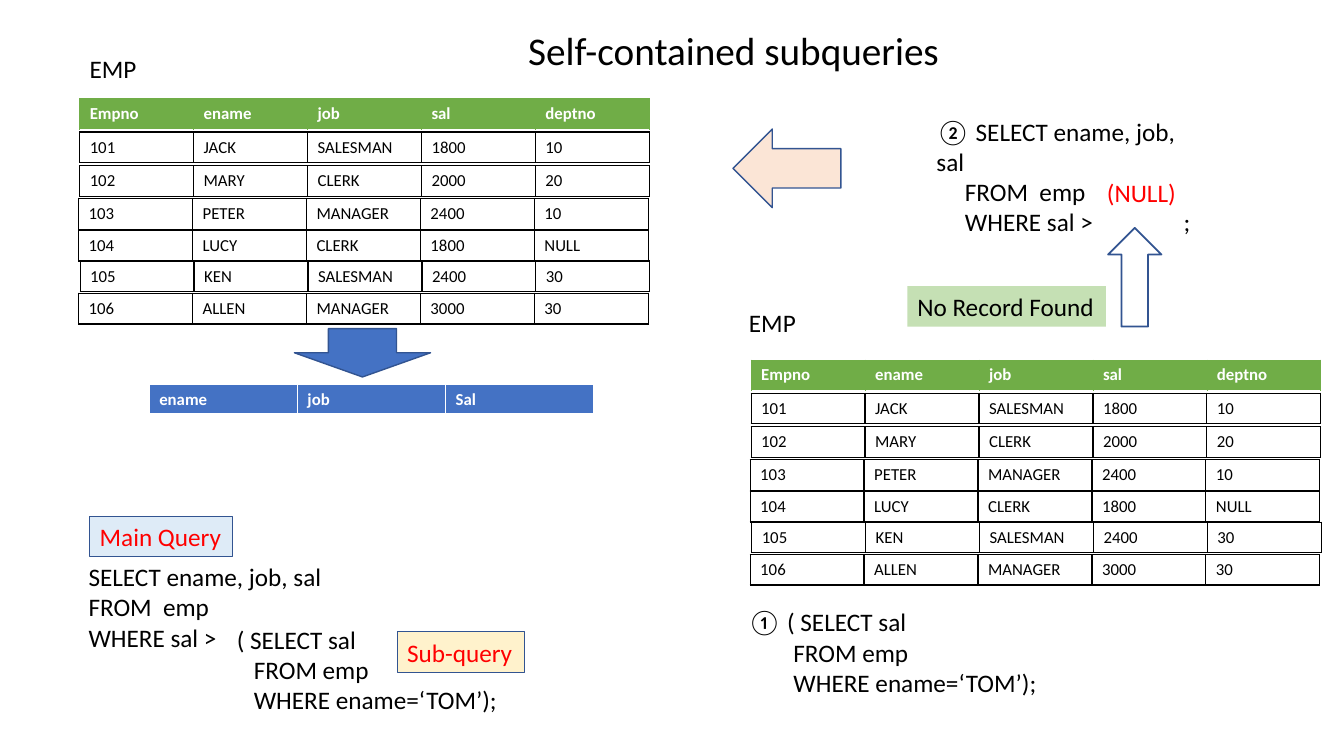
"""Build the slide that explains self-contained subqueries."""
import dataclasses
import typing

import lxml.etree
import pptx
import pptx.dml.color
import pptx.enum.shapes
import pptx.enum.text
import pptx.oxml.ns
import pptx.util

CELL = 0.1
COLUMN_COUNT = 133.3
ROW_COUNT = 75
EMP_COLUMN_WIDTH = 11.3
RESULT_COLUMN_WIDTH = 14.7
STRIP_HEIGHT = 3
SHAPES = pptx.enum.shapes.MSO_SHAPE


@dataclasses.dataclass(frozen=True)
class Theme:
    font: str = "Calibri"
    title_size: float = 28
    body_size: float = 18
    table_size: float = 12
    black: str = "000000"
    white: str = "FFFFFF"
    red: str = "FF0000"
    green: str = "70AD47"
    blue: str = "4472C4"
    outline: str = "325491"
    peach: str = "FBE5D6"
    pale_blue: str = "DEEBF7"
    pale_yellow: str = "FFF2CC"
    pale_green: str = "C5E0B4"


THEME = Theme()


class Border(typing.NamedTuple):
    color: str
    width: float


class Area(typing.NamedTuple):
    column: float
    row: float
    columns: float
    rows: float


@dataclasses.dataclass(frozen=True)
class StripStyle:
    text_color: str
    fill: typing.Optional[str]
    left: Border
    right: Border
    top: Border
    bottom: Border
    bold: bool = False


@dataclasses.dataclass(frozen=True)
class Label:
    area: Area
    text: str
    size: float = THEME.body_size
    color: str = THEME.black
    wrap: bool = False
    tab: float = 0


@dataclasses.dataclass(frozen=True)
class Block:
    kind: SHAPES
    area: Area
    fill: typing.Optional[str] = None
    line_width: float = 0
    label: str = ""
    label_color: str = THEME.red


class EmpRow(typing.NamedTuple):
    column_shift: float
    row_shift: float
    values: str


BLACK_EDGE = Border(THEME.black, 1)
GREEN_EDGE = Border(THEME.green, 0.5)
WHITE_EDGE = Border(THEME.white, 1)
DATA_STYLE = StripStyle(THEME.black, None, BLACK_EDGE, BLACK_EDGE, BLACK_EDGE, BLACK_EDGE)
HEADER_STYLE = StripStyle(THEME.white, THEME.green, GREEN_EDGE, GREEN_EDGE, GREEN_EDGE, WHITE_EDGE, True)
RESULT_STYLE = StripStyle(THEME.white, THEME.blue, WHITE_EDGE, WHITE_EDGE, WHITE_EDGE,
                          Border(THEME.white, 3), True)

EMP_ROWS = (
    EmpRow(0, 3.3, "101 JACK SALESMAN 1800 10"),
    EmpRow(0, 6.65, "102 MARY CLERK 2000 20"),
    EmpRow(-0.1, 9.9, "103 PETER MANAGER 2400 10"),
    EmpRow(-0.1, 13.05, "104 LUCY CLERK 1800 NULL"),
    EmpRow(0.05, 16.1, "105 KEN SALESMAN 2400 30"),
    EmpRow(-0.1, 19.3, "106 ALLEN MANAGER 3000 30"),
)
EMP_ORIGINS = ((7.9, 9.8), (74.5, 35.7))

LABELS = (
    Label(Area(51.4, 2.1, 43.3, 5.7), "Self-contained subqueries", THEME.title_size),
    Label(Area(7.9, 4.8, 6.7, 4), "EMP"),
    Label(Area(73.3, 30, 6.7, 4), "EMP"),
    Label(Area(7.8, 55.2, 25.4, 10.1), "SELECT ename, job, sal\nFROM  emp\nWHERE sal >"),
    Label(Area(22.5, 61.4, 28.1, 10.1), "( SELECT sal\n   FROM emp\n   WHERE ename=‘TOM’);"),
    Label(Area(73.2, 59.7, 31, 10.1),
          "① ( SELECT sal\n        FROM emp\n        WHERE ename=‘TOM’);"),
    Label(Area(91.9, 11, 28, 10.1),
          "② SELECT ename, job, sal\n     FROM  emp\n     WHERE sal >\t;", wrap=True, tab=24.5),
    Label(Area(108.8, 17.1, 8.9, 4), "(NULL)", color=THEME.red),
)

BLOCKS = (
    Block(SHAPES.UP_ARROW, Area(109.9, 22.6, 5.3, 9.8), line_width=1.25),
    Block(SHAPES.LEFT_ARROW, Area(72.7, 12.8, 10.7, 7.8), THEME.peach, 1),
    Block(SHAPES.DOWN_ARROW, Area(29.2, 32.6, 13.5, 4.8), THEME.blue, 1),
    Block(SHAPES.RECTANGLE, Area(8.9, 51.2, 14.2, 4), THEME.pale_blue, 0.75, "Main Query"),
    Block(SHAPES.RECTANGLE, Area(39.4, 62.7, 12.6, 4), THEME.pale_yellow, 0.75, "Sub-query"),
    Block(SHAPES.RECTANGLE, Area(90, 28.4, 19.7, 4), THEME.pale_green, 0, "No Record Found", THEME.black),
)


def grid(cells: float) -> int:
    return pptx.util.Inches(cells * CELL)


def place(area: Area) -> list[int]:
    return [grid(value) for value in area]


def rgb(color: str) -> pptx.dml.color.RGBColor:
    return pptx.dml.color.RGBColor.from_string(color)


def paint(fill, color: typing.Optional[str]) -> None:
    if color is None:
        fill.background()
    else:
        fill.solid()
        fill.fore_color.rgb = rgb(color)


def format_text(text_frame, size: float, color: str, bold: bool = False) -> None:
    for paragraph in text_frame.paragraphs:
        paragraph.alignment = pptx.enum.text.PP_ALIGN.LEFT
        for run in paragraph.runs:
            run.font.name = THEME.font
            run.font.size = pptx.util.Pt(size)
            run.font.bold = bold
            run.font.color.rgb = rgb(color)


def fit_text(text_frame, wrap: bool) -> None:
    text_frame.word_wrap = wrap
    text_frame.auto_size = pptx.enum.text.MSO_AUTO_SIZE.SHAPE_TO_FIT_TEXT


def add_child(parent, tag: str, **attributes: str):
    return lxml.etree.SubElement(parent, pptx.oxml.ns.qn(tag), attributes)


def set_borders(cell, style: StripStyle) -> None:
    properties = cell._tc.get_or_add_tcPr()
    edges = (("a:lnL", style.left), ("a:lnR", style.right), ("a:lnT", style.top), ("a:lnB", style.bottom))
    for position, (tag, border) in enumerate(edges):
        line = add_child(properties, tag, w=str(pptx.util.Pt(border.width)))
        add_child(add_child(line, "a:solidFill"), "a:srgbClr", val=border.color)
        properties.insert(position, line)


def add_strip(slide, column: float, row: float, column_width: float, values: str, style: StripStyle) -> None:
    texts = values.split()
    area = Area(column, row, column_width * len(texts), STRIP_HEIGHT)
    table = slide.shapes.add_table(1, len(texts), *place(area)).table
    table.first_row = False
    table.horz_banding = False
    for index, text in enumerate(texts):
        table.columns[index].width = grid(column_width)
        cell = table.cell(0, index)
        cell.text_frame.text = text
        format_text(cell.text_frame, THEME.table_size, style.text_color, style.bold)
        paint(cell.fill, style.fill)
        set_borders(cell, style)


def add_emp_table(slide, column: float, row: float) -> None:
    add_strip(slide, column, row, EMP_COLUMN_WIDTH, "Empno ename job sal deptno", HEADER_STYLE)
    for record in EMP_ROWS:
        add_strip(slide, column + record.column_shift, row + record.row_shift,
                  EMP_COLUMN_WIDTH, record.values, DATA_STYLE)


def add_label(slide, label: Label) -> None:
    text_frame = slide.shapes.add_textbox(*place(label.area)).text_frame
    text_frame.text = label.text
    fit_text(text_frame, label.wrap)
    if label.tab:
        properties = text_frame.paragraphs[-1]._p.get_or_add_pPr()
        add_child(add_child(properties, "a:tabLst"), "a:tab", pos=str(grid(label.tab)), algn="l")
    format_text(text_frame, label.size, label.color)


def add_block(slide, block: Block) -> None:
    shape = slide.shapes.add_shape(block.kind, *place(block.area))
    shape.shadow.inherit = False
    paint(shape.fill, block.fill)
    paint(shape.line.fill, THEME.outline if block.line_width else None)
    if block.line_width:
        shape.line.width = pptx.util.Pt(block.line_width)
    if block.label:
        shape.text_frame.text = block.label
        fit_text(shape.text_frame, False)
        format_text(shape.text_frame, THEME.body_size, block.label_color)


def main() -> None:
    presentation = pptx.Presentation()
    presentation.slide_width = grid(COLUMN_COUNT)
    presentation.slide_height = grid(ROW_COUNT)
    slide = presentation.slides.add_slide(presentation.slide_layouts[6])
    for column, row in EMP_ORIGINS:
        add_emp_table(slide, column, row)
    add_strip(slide, 14.8, 38.1, RESULT_COLUMN_WIDTH, "ename job Sal", RESULT_STYLE)
    for block in BLOCKS:
        add_block(slide, block)
    for label in LABELS:
        add_label(slide, label)
    presentation.save("out.pptx")


if __name__ == "__main__":
    main()
